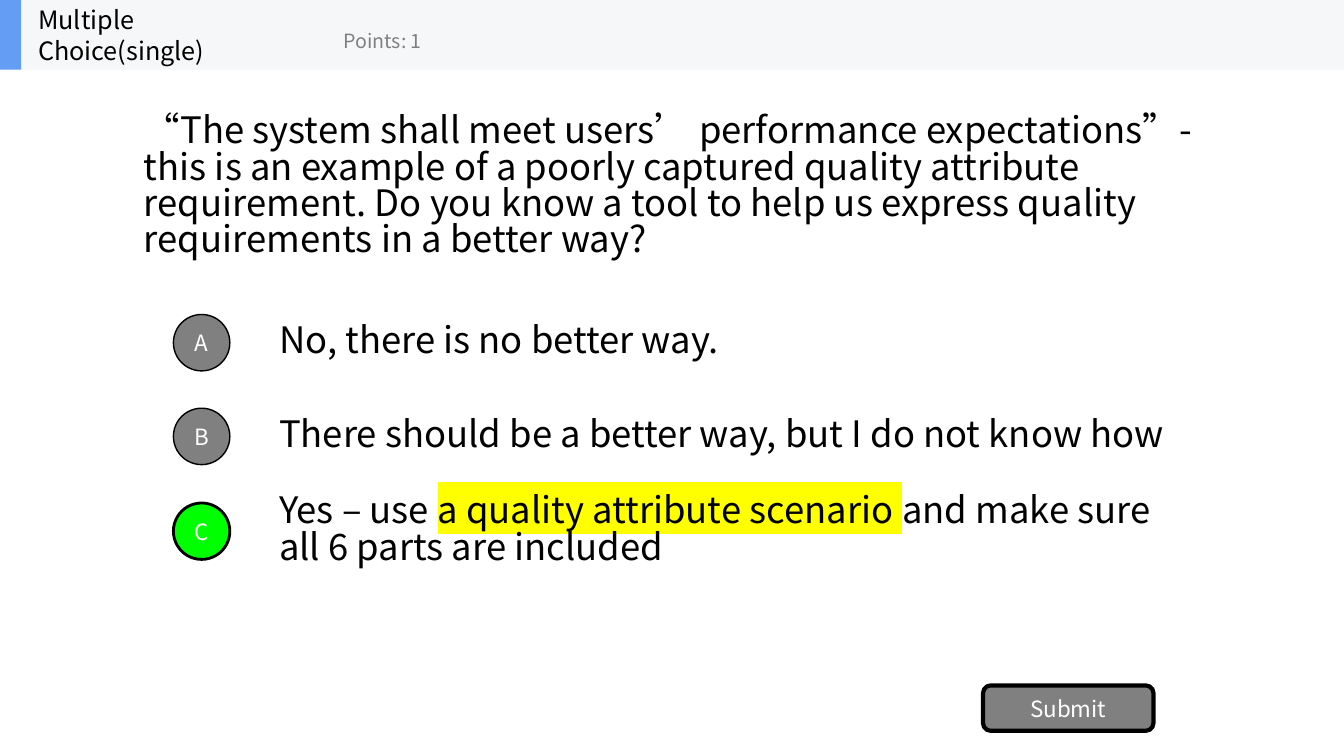
"""Build a single-answer multiple choice quiz slide."""
from dataclasses import dataclass

from lxml.etree import SubElement
from pptx import Presentation
from pptx.dml.color import RGBColor as Rgb
from pptx.enum.shapes import MSO_SHAPE as Preset
from pptx.enum.text import MSO_ANCHOR as Anchor, PP_ALIGN as Align
from pptx.oxml.ns import qn
from pptx.util import Inches, Pt

FONT = "Noto Sans CJK SC"
COLOURS = {
    "ink": "000000",
    "paper": "FFFFFF",
    "grey": "808080",
    "correct": "00FF00",
    "marker": "FFFF00",
    "header": "F6F7F8",
    "accent": "639EF4",
}
HEADER_HEIGHT = 0.69
BADGE_SIZE = 0.56
FIRST_ANSWER_TOP = 3.05
ANSWER_STEP = 0.935
ANSWER_HEIGHT = 0.7


@dataclass
class Box:
    left: float
    top: float
    width: float
    height: float

    def lengths(self) -> list:
        return [Inches(n) for n in (self.left, self.top, self.width, self.height)]


@dataclass
class Answer:
    letter: str
    phrases: tuple
    highlighted: int = -1
    fill: str = "grey"
    border: float = 1


@dataclass
class Label:
    box: Box
    text: str
    size: float
    colour: str


ANSWERS = [
    Answer("A", ("No, there is no better way.",)),
    Answer("B", ("There should be a better way, but I do not know how",)),
    Answer(
        "C",
        ("Yes – use ", "a quality attribute scenario ",
         "and make sure all 6 parts are included"),
        highlighted=1, fill="correct", border=2,
    ),
]
QUESTION = (
    "“The system shall meet users’ performance expectations”- this is an example "
    "of a poorly captured quality attribute requirement. Do you know a tool to help "
    "us express quality requirements in a better way?"
)
HEADER_LABELS = [
    Label(Box(0.28, 0, 2.08, HEADER_HEIGHT), "Multiple Choice(single)", 18, "ink"),
    Label(Box(3.31, 0.12, 2.5, 0.56), "Points: 1", 14, "grey"),
]


def colour(name: str) -> Rgb:
    return Rgb.from_string(COLOURS[name])


def style_run(run, size: float, ink: str) -> None:
    run.font.size = Pt(size)
    run.font.color.rgb = colour(ink)
    run.font.name = FONT
    SubElement(run.font._element, qn("a:ea"), typeface=FONT)


def highlight(run) -> None:
    marker = run.font._element.makeelement(qn("a:highlight"), {})
    SubElement(marker, qn("a:srgbClr"), val=COLOURS["marker"])
    run.font._element.find(qn("a:solidFill")).addnext(marker)


def add_text(slide, box: Box, phrases: tuple, size: float, ink: str = "ink",
             wrap: bool = True, highlighted: int = -1) -> None:
    frame = slide.shapes.add_textbox(*box.lengths()).text_frame
    frame.word_wrap = wrap
    frame.vertical_anchor = Anchor.MIDDLE
    paragraph = frame.paragraphs[0]
    if wrap:
        paragraph.line_spacing = 0.83
    for index, phrase in enumerate(phrases):
        run = paragraph.add_run()
        run.text = phrase
        style_run(run, size, ink)
        if index == highlighted:
            highlight(run)


def add_panel(slide, preset: Preset, box: Box, fill: str,
              border: float = 0, caption: str = "") -> None:
    panel = slide.shapes.add_shape(preset, *box.lengths())
    panel.shadow.inherit = False
    panel.fill.solid()
    panel.fill.fore_color.rgb = colour(fill)
    if border:
        panel.line.color.rgb = colour("ink")
        panel.line.width = Pt(border)
    else:
        panel.line.fill.background()
    if caption:
        frame = panel.text_frame
        frame.margin_left = frame.margin_right = 0
        frame.margin_top = frame.margin_bottom = 0
        frame.vertical_anchor = Anchor.MIDDLE
        frame.text = caption
        frame.paragraphs[0].alignment = Align.CENTER
        style_run(frame.paragraphs[0].runs[0], 16, "paper")


def add_answer(slide, answer: Answer, top: float) -> None:
    add_text(slide, Box(2.67, top, 9.33, ANSWER_HEIGHT), answer.phrases, 26,
             highlighted=answer.highlighted)
    badge_top = top + (ANSWER_HEIGHT - BADGE_SIZE) / 2
    add_panel(slide, Preset.OVAL, Box(1.72, badge_top, BADGE_SIZE, BADGE_SIZE),
              answer.fill, answer.border, answer.letter)


def main() -> None:
    deck = Presentation()
    deck.slide_width, deck.slide_height = Inches(13.33), Inches(7.5)
    slide = deck.slides.add_slide(deck.slide_layouts[6])

    add_text(slide, Box(1.33, HEADER_HEIGHT, 10.67, 2.34), (QUESTION,), 26)
    for index, answer in enumerate(ANSWERS):
        add_answer(slide, answer, round(FIRST_ANSWER_TOP + index * ANSWER_STEP, 2))
    add_panel(slide, Preset.ROUNDED_RECTANGLE, Box(9.75, 6.8, 1.69, 0.45),
              "grey", 3, "Submit")

    for width, fill in ((13.33, "header"), (0.21, "accent")):
        add_panel(slide, Preset.RECTANGLE, Box(0, 0, width, HEADER_HEIGHT), fill)
    for label in HEADER_LABELS:
        add_text(slide, label.box, (label.text,), label.size, label.colour, wrap=False)

    deck.save("out.pptx")


if __name__ == "__main__":
    main()
